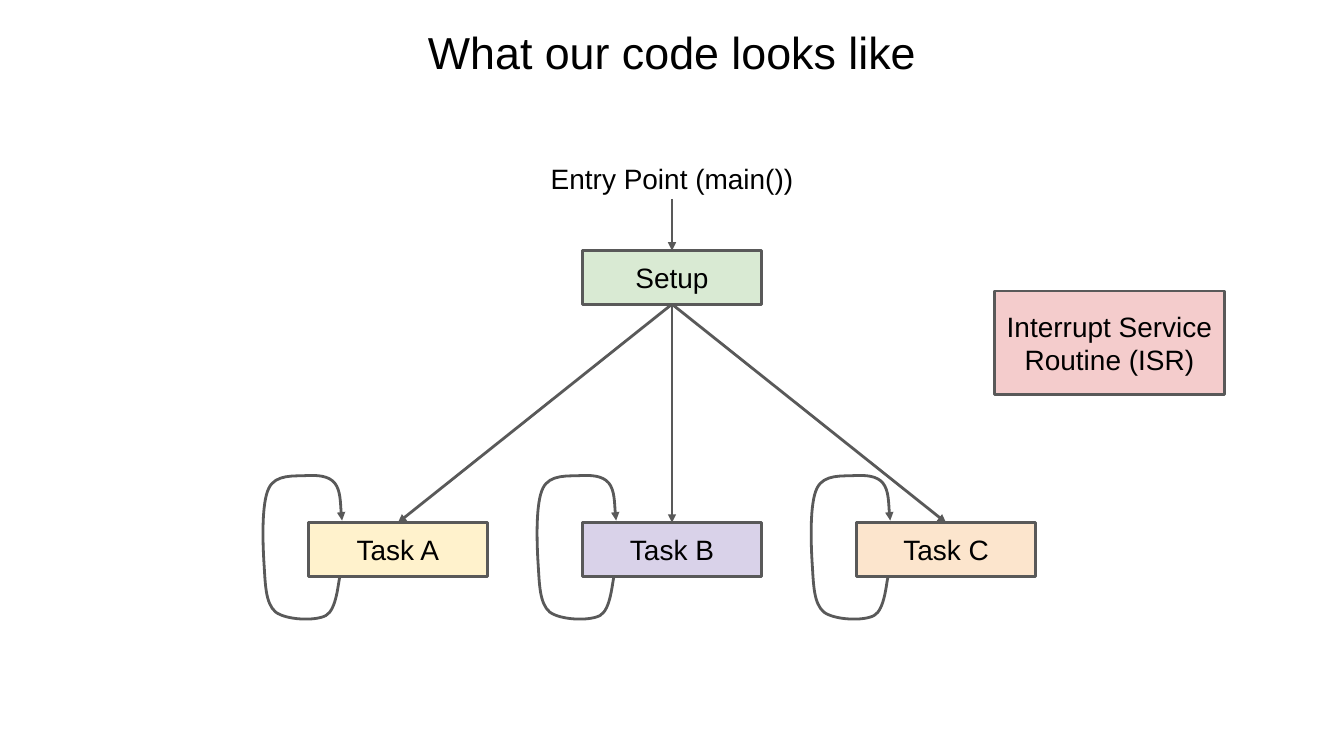
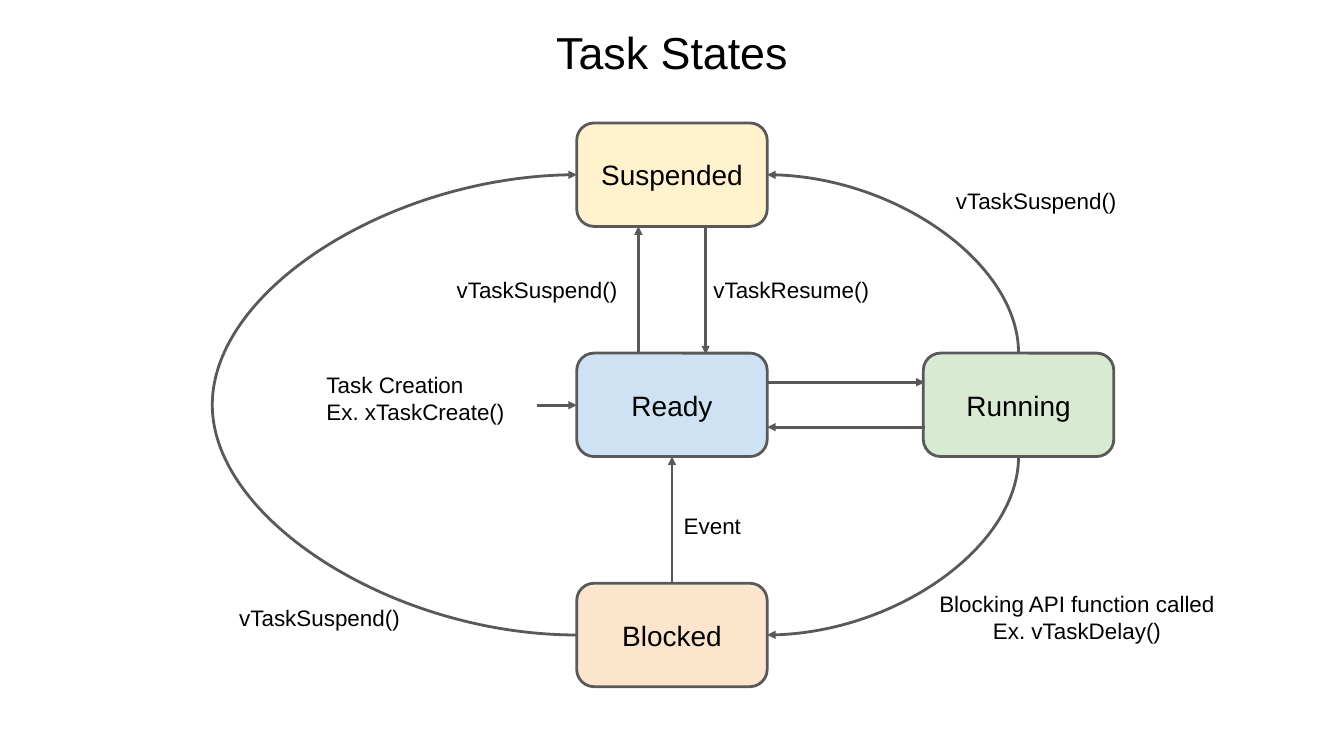
from lxml import etree
from pptx import Presentation
from pptx.dml.color import RGBColor
from pptx.enum.shapes import MSO_CONNECTOR, MSO_SHAPE
from pptx.enum.text import MSO_ANCHOR, MSO_AUTO_SIZE, PP_ALIGN
from pptx.oxml.ns import qn
from pptx.util import Cm, Emu, Pt

RECTANGLE, ROUNDED = MSO_SHAPE.RECTANGLE, MSO_SHAPE.ROUNDED_RECTANGLE
STRAIGHT, CURVE = MSO_CONNECTOR.STRAIGHT, MSO_CONNECTOR.CURVE
LEFT, CENTER = PP_ALIGN.LEFT, PP_ALIGN.CENTER
TOP, MIDDLE = MSO_ANCHOR.TOP, MSO_ANCHOR.MIDDLE
TOP_SITE, LEFT_SITE, BOTTOM_SITE, RIGHT_SITE = range(4)

FONT = "Arial"
COLORS = {
    "text": "000000",
    "line": "595959",
    "green": "D9EAD3",
    "yellow": "FFF2CC",
    "purple": "D9D2E9",
    "orange": "FCE5CD",
    "red": "F4CCCC",
    "blue": "CFE2F3",
}
MIDDLE_X = 25.4


def write_text(shape, text, size, align=CENTER, anchor=MIDDLE):
    frame = shape.text_frame
    frame.text = text
    frame.word_wrap = True
    frame.auto_size = MSO_AUTO_SIZE.NONE
    frame.vertical_anchor = anchor
    frame.margin_left = frame.margin_right = Cm(0.25)
    frame.margin_top = frame.margin_bottom = Cm(0.25)
    for paragraph in frame.paragraphs:
        paragraph.alignment = align
        for run in paragraph.runs:
            run.font.name = FONT
            run.font.size = Pt(size)
            run.font.color.rgb = RGBColor.from_string(COLORS["text"])


def style_line(shape, arrow_end=None):
    shape.line.color.rgb = RGBColor.from_string(COLORS["line"])
    shape.line.width = Pt(3)
    properties = shape._element.spPr
    if arrow_end:
        line = properties.find(qn("a:ln"))
        etree.SubElement(line, qn(f"a:{arrow_end}"), type="triangle")
    etree.SubElement(properties, qn("a:effectLst"))


presentation = Presentation()
presentation.slide_width = Cm(50.8)
presentation.slide_height = Cm(28.58)

# Slides with their shared title style
for title_text in ["What our code looks like", "Task States"]:
    slide = presentation.slides.add_slide(presentation.slide_layouts[5])
    title = slide.shapes.title
    title.left, title.top, title.width, title.height = Cm(0), Cm(0), Cm(50.8), Cm(3.91)
    write_text(title, title_text, 48)
code_slide, states_slide = presentation.slides

# Boxes on both slides: slide, preset, text, left, top, width, height, fill
TASK_WIDTH, TASK_HEIGHT, TASK_TOP, TASK_PITCH = 6.76, 2.03, 19.76, 10.36
STATE_WIDTH, STATE_HEIGHT, STATE_TOP, STATE_PITCH = 7.2, 3.91, 4.65, 8.7
task_left = MIDDLE_X - TASK_WIDTH / 2
state_left = MIDDLE_X - STATE_WIDTH / 2

box_rows = [
    (code_slide, RECTANGLE, "Setup", task_left, 9.47, TASK_WIDTH, TASK_HEIGHT, "green"),
    (code_slide, RECTANGLE, "Interrupt Service Routine (ISR)", 37.59, 11, 8.69, 3.91, "red"),
    (states_slide, ROUNDED, "Running", 34.9, STATE_TOP + STATE_PITCH,
     STATE_WIDTH, STATE_HEIGHT, "green"),
]
tasks = [("Task A", "yellow"), ("Task B", "purple"), ("Task C", "orange")]
states = [("Suspended", "yellow"), ("Ready", "blue"), ("Blocked", "orange")]
for index, (name, fill) in enumerate(tasks):
    left = task_left + (index - 1) * TASK_PITCH
    box_rows.append((code_slide, RECTANGLE, name, left, TASK_TOP, TASK_WIDTH, TASK_HEIGHT, fill))
for index, (name, fill) in enumerate(states):
    top = STATE_TOP + index * STATE_PITCH
    box_rows.append((states_slide, ROUNDED, name, state_left, top, STATE_WIDTH, STATE_HEIGHT, fill))

boxes = {}
for slide, preset, name, left, top, width, height, fill in box_rows:
    box = slide.shapes.add_shape(preset, Cm(left), Cm(top), Cm(width), Cm(height))
    box.fill.solid()
    box.fill.fore_color.rgb = RGBColor.from_string(COLORS[fill])
    style_line(box)
    write_text(box, name, 30)
    boxes[name] = box

# Free labels: slide, text, left, top, width, height, size, alignment, anchor
labels = [
    (code_slide, "Entry Point (main())", 19.46, 5.94, 11.89, 1.57, 30, CENTER, MIDDLE),
    (states_slide, "Task Creation\nEx. xTaskCreate()", 12.09, 13.77, 8.2, 3.07, 24, LEFT, TOP),
    (states_slide, "vTaskSuspend()", 16.46, 10.19, 7.67, 1.55, 24, CENTER, MIDDLE),
    (states_slide, "vTaskResume()", 26.59, 10.19, 6.63, 1.55, 24, CENTER, MIDDLE),
    (states_slide, "vTaskSuspend()", 34.9, 6.6, 8.53, 1.96, 24, CENTER, MIDDLE),
    (states_slide, "Blocking API function called\nEx. vTaskDelay()",
     34.9, 22.25, 11.61, 2.16, 24, CENTER, MIDDLE),
    (states_slide, "Event", 25.4, 18.87, 3.05, 1.96, 24, CENTER, MIDDLE),
    (states_slide, "vTaskSuspend()", 8, 22.56, 8.15, 1.55, 24, CENTER, MIDDLE),
]
for slide, text, left, top, width, height, size, align, anchor in labels:
    label = slide.shapes.add_textbox(Cm(left), Cm(top), Cm(width), Cm(height))
    write_text(label, text, size, align, anchor)

# Straight arrows: slide, start x, start y, end x, end y
arrows = [
    (code_slide, MIDDLE_X, 7.52, MIDDLE_X, 9.47),
    (states_slide, 20.29, 15.32, 21.8, 15.32),
    (states_slide, 24.13, 13.39, 24.13, 8.56),
    (states_slide, 26.67, 8.56, 26.67, 13.39),
    (states_slide, 29, 14.45, 34.95, 14.45),
    (states_slide, 34.95, 16.15, 29, 16.15),
    (states_slide, MIDDLE_X, 22.05, MIDDLE_X, 17.26),
]
for slide, *ends in arrows:
    arrow = slide.shapes.add_connector(STRAIGHT, *[Cm(value) for value in ends])
    style_line(arrow, "tailEnd")

# Setup starts every task, and each task loops back to itself
LOOP_POINTS = [  # start, then three control points per curve, from the task's corner
    (1.19, 2.03),
    (1.12, 2.26), (1.07, 3.28), (0.66, 3.51),
    (0.25, 3.73), (-0.84, 3.68), (-1.24, 3.38),
    (-1.63, 3.05), (-1.63, 2.31), (-1.68, 1.55),
    (-1.73, 0.76), (-1.78, -0.74), (-1.5, -1.3),
    (-1.24, -1.85), (-0.51, -1.75), (-0.08, -1.78),
    (0.33, -1.8), (0.76, -1.78), (0.99, -1.5),
    (1.22, -1.22), (1.22, -0.33), (1.27, -0.08),
]
for name, fill in tasks:
    task = boxes[name]
    arrow = code_slide.shapes.add_connector(STRAIGHT, 0, 0, 0, 0)
    arrow.begin_connect(boxes["Setup"], BOTTOM_SITE)
    arrow.end_connect(task, TOP_SITE)
    style_line(arrow, "tailEnd")

    points = [(task.left + Cm(x), task.top + Cm(y)) for x, y in LOOP_POINTS]
    builder = code_slide.shapes.build_freeform(*points[0])
    builder.add_line_segments(points[1:], close=False)
    loop = builder.convert_to_shape()
    loop.fill.background()
    style_line(loop, "tailEnd")
    # Turn each three straight segments into one cubic curve
    outline = loop._element.spPr.find(".//" + qn("a:path"))
    segments = outline.findall(qn("a:lnTo"))
    for first in range(0, len(segments), 3):
        cubic = etree.SubElement(outline, qn("a:cubicBezTo"))
        for segment in segments[first:first + 3]:
            cubic.append(segment[0])
            outline.remove(segment)

# Curved transitions: from, site, to, site, preset, arrow end
curves = [
    ("Suspended", RIGHT_SITE, "Running", TOP_SITE, "curvedConnector2", "headEnd"),
    ("Blocked", RIGHT_SITE, "Running", BOTTOM_SITE, "curvedConnector2", "headEnd"),
    ("Blocked", LEFT_SITE, "Suspended", LEFT_SITE, "curvedConnector3", "tailEnd"),
]
for start, start_site, end, end_site, preset, arrow_end in curves:
    curve = states_slide.shapes.add_connector(CURVE, 0, 0, 0, 0)
    curve.begin_connect(boxes[start], start_site)
    curve.end_connect(boxes[end], end_site)
    style_line(curve, arrow_end)
    geometry = curve._element.spPr.find(qn("a:prstGeom"))
    geometry.set("prst", preset)
    if start_site == end_site:
        # Both ends share one x, so the bulge is a multiple of a tiny width
        curve.width = Emu(600)
        bulge = -round(Cm(11.48) / curve.width * 100000)
        adjustments = geometry.find(qn("a:avLst"))
        etree.SubElement(adjustments, qn("a:gd"), name="adj1", fmla=f"val {bulge}")
        # A half turn with a horizontal flip makes it bulge to the left
        transform = curve._element.spPr.find(qn("a:xfrm"))
        transform.attrib.pop("flipV", None)
        transform.set("rot", "10800000")
        transform.set("flipH", "1")

presentation.save("out.pptx")
